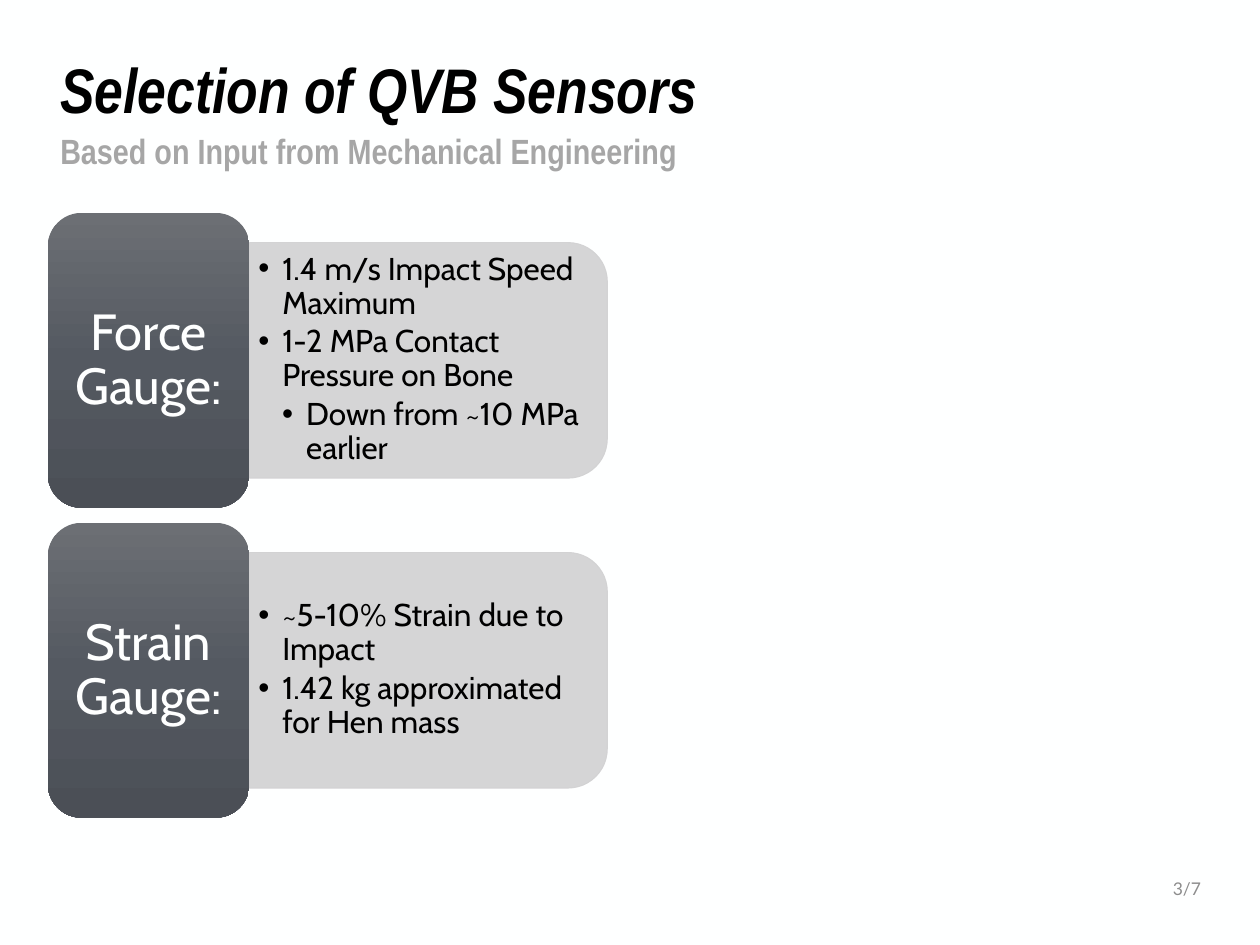
import copy

import pptx
import pptx.dml.color
import pptx.enum.shapes
import pptx.enum.text
import pptx.oxml
import pptx.oxml.ns
import pptx.util

Inches = pptx.util.Inches
Pt = pptx.util.Pt
RGBColor = pptx.dml.color.RGBColor
Shape = pptx.enum.shapes.MSO_SHAPE
Align = pptx.enum.text.PP_ALIGN
Anchor = pptx.enum.text.MSO_ANCHOR
qn = pptx.oxml.ns.qn

PAPER = RGBColor(0xFE, 0xFF, 0xFF)
BLACK = RGBColor(0, 0, 0)
MUTED = RGBColor(0xA6, 0xA6, 0xA6)
FAINT = RGBColor(0x8C, 0x8C, 0x8C)
CARD = RGBColor(0xD1, 0xD1, 0xD2)
SHADES = (RGBColor(0x6C, 0x6F, 0x74), RGBColor(0x54, 0x59, 0x61),
          RGBColor(0x4B, 0x4F, 0x56))

LEFT, TOP = 0.38, 1.69
TAB_W, TAB_H, PITCH = 1.6, 2.34, 2.46
CARD_W, CARD_H = 2.84, 1.87
STEP = 0.19

# Each gauge: its name, then (level, text) for every bullet.
GAUGES = (
    ("Force Gauge:", ((1, "1.4 m/s Impact Speed Maximum"),
                      (1, "1-2 MPa Contact Pressure on Bone"),
                      (2, "Down from ~10 MPa earlier"))),
    ("Strain Gauge:", ((1, "~5-10% Strain due to Impact"),
                       (1, "1.42 kg approximated for Hen mass"))),
)


def place(box, x, y, w, h):
    box.left, box.top = Inches(x), Inches(y)
    box.width, box.height = Inches(w), Inches(h)


def add_box(slide, x, y, w, h):
    return slide.shapes.add_textbox(Inches(x), Inches(y), Inches(w), Inches(h))


def add_bullet(para, level):
    props = para._p.get_or_add_pPr()
    props.set("marL", str(Inches(level * STEP)))
    props.set("indent", str(-Inches(STEP)))
    for tag, name, value in (("a:buFont", "typeface", "Arial"),
                             ("a:buChar", "char", "•")):
        props.append(props.makeelement(qn(tag), {name: value}))
    para.level = level


def write(box, items, *, font, size, color, bold=False, italic=False,
          align=Align.LEFT, anchor=Anchor.MIDDLE, spacing=0.9, after=0,
          inset=(0.1, 0.05)):
    """Fill a box with (level, text) items; level 0 has no bullet."""
    frame = box.text_frame
    frame.word_wrap = True
    frame.auto_size = pptx.enum.text.MSO_AUTO_SIZE.NONE
    frame.vertical_anchor = anchor
    frame.margin_left = frame.margin_right = Inches(inset[0])
    frame.margin_top = frame.margin_bottom = Inches(inset[1])
    for i, (level, text) in enumerate(items):
        para = frame.add_paragraph() if i else frame.paragraphs[0]
        if level:
            add_bullet(para, level)
        para.alignment = align
        para.line_spacing = spacing
        para.space_before, para.space_after = Pt(0), Pt(after)
        run = para.add_run()
        run.text = text
        run.font.name, run.font.size = font, Pt(size)
        run.font.bold, run.font.italic = bold, italic
        run.font.color.rgb = color


def add_shape(slide, kind, x, y, w, h):
    shape = slide.shapes.add_shape(kind, Inches(x), Inches(y), Inches(w), Inches(h))
    shape.shadow.inherit = False
    return shape


def shade(shape):
    """Fill a shape with the dark gradient, running downward."""
    fill = shape.fill
    fill.gradient()
    fill.gradient_angle = 270
    stops = shape.element.spPr.find(".//" + qn("a:gsLst"))
    stops.insert(1, copy.deepcopy(stops[0]))
    for stop, color, spot in zip(fill.gradient_stops, SHADES, (0, 0.5, 1)):
        stop.color.rgb = color
        stop.position = spot


def add_card(slide, y, items):
    """Draw a panel rounded on its right side, with its bullets."""
    x = LEFT + TAB_W
    mid_x, mid_y = x + CARD_W / 2, y + TAB_H / 2
    card = add_shape(slide, Shape.ROUND_2_SAME_RECTANGLE, mid_x - CARD_H / 2,
                     mid_y - CARD_W / 2, CARD_H, CARD_W)
    card.rotation = 90
    card.fill.solid()
    card.fill.fore_color.rgb = CARD
    card.line.color.rgb = CARD
    card.line.width = Pt(0.5)
    for color in card.element.spPr.iter(qn("a:srgbClr")):
        color.append(color.makeelement(qn("a:alpha"), {"val": "90000"}))
    box = add_box(slide, x, mid_y - 0.85, 2.75, 1.69)
    write(box, items, font="Cabin", size=18, color=BLACK, after=2.7,
          inset=(0.07, 0.04))


def add_tab(slide, y, name):
    tab = add_shape(slide, Shape.ROUNDED_RECTANGLE, LEFT, y, TAB_W, TAB_H)
    shade(tab)
    tab.line.fill.background()
    box = add_box(slide, LEFT + 0.08, y + 0.08, 1.44, 2.19)
    write(box, [(0, name)], font="Cabin", size=29, color=PAPER,
          align=Align.CENTER, inset=(0.12, 0.06))


def add_heads(slide):
    title = slide.shapes.title
    place(title, LEFT, 0.42, 9.24, 0.64)
    write(title, [(0, "Selection of QVB Sensors")], font="Arial Narrow",
          size=36, color=BLACK, bold=True, italic=True)
    sub = add_box(slide, LEFT, 1.04, 9.25, 0.4)
    write(sub, [(0, "Based on Input from Mechanical Engineering")],
          font="Arial Narrow", size=20, color=MUTED, bold=True,
          anchor=Anchor.TOP, spacing=0.8)
    page = add_box(slide, 8.16, 6.88, 1.47, 0.35)
    write(page, [(0, "3/7")], font="Lato", size=10, color=FAINT,
          align=Align.RIGHT, spacing=1.0)


def main():
    deck = pptx.Presentation()
    deck.slide_width, deck.slide_height = Inches(10), Inches(7.5)
    slide = deck.slides.add_slide(deck.slide_layouts[5])
    slide.background.fill.solid()
    slide.background.fill.fore_color.rgb = PAPER
    add_heads(slide)
    for i, (name, items) in enumerate(GAUGES):
        y = TOP + i * PITCH
        add_card(slide, y, items)
        add_tab(slide, y, name)
    deck.save("out.pptx")


if __name__ == "__main__":
    main()
